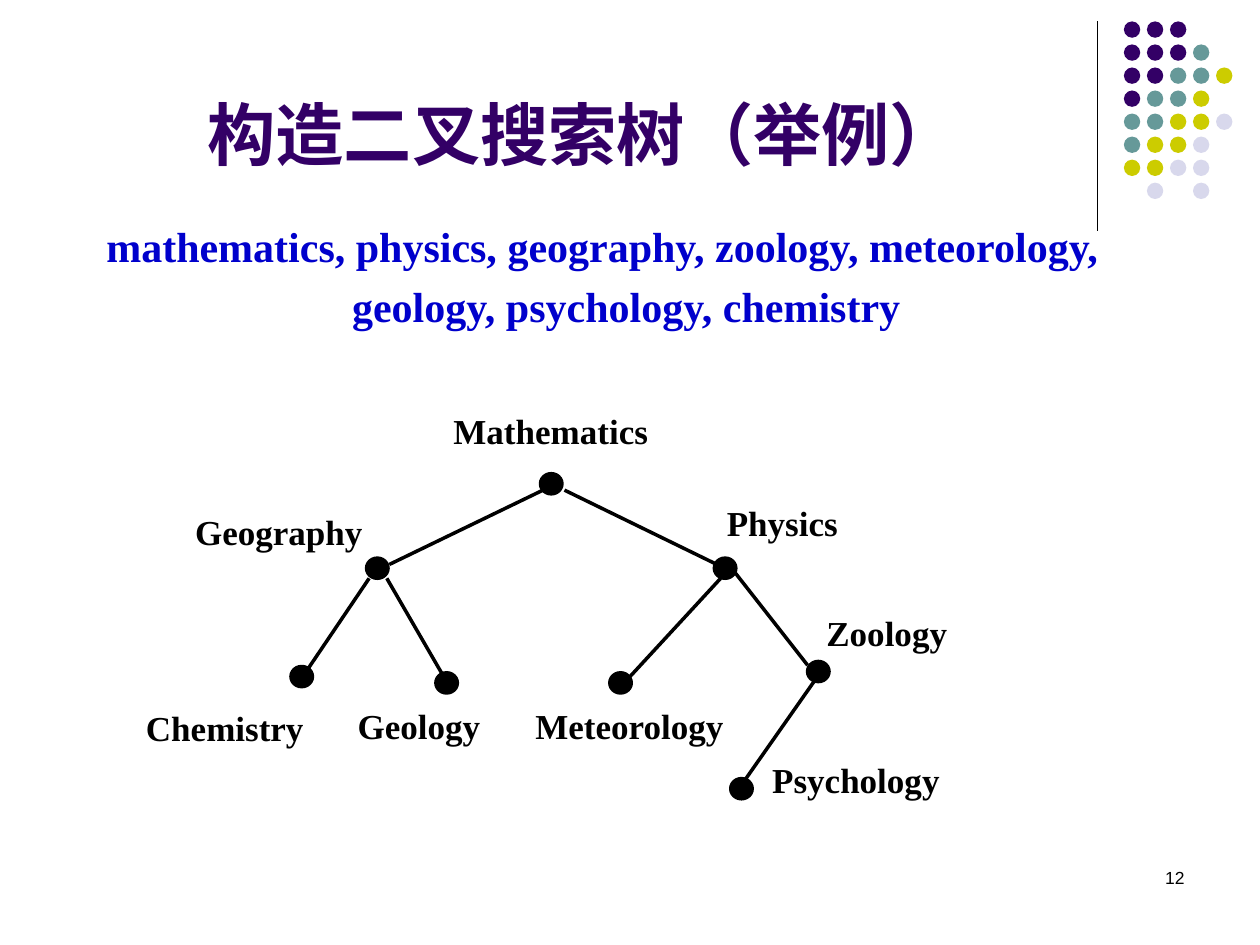
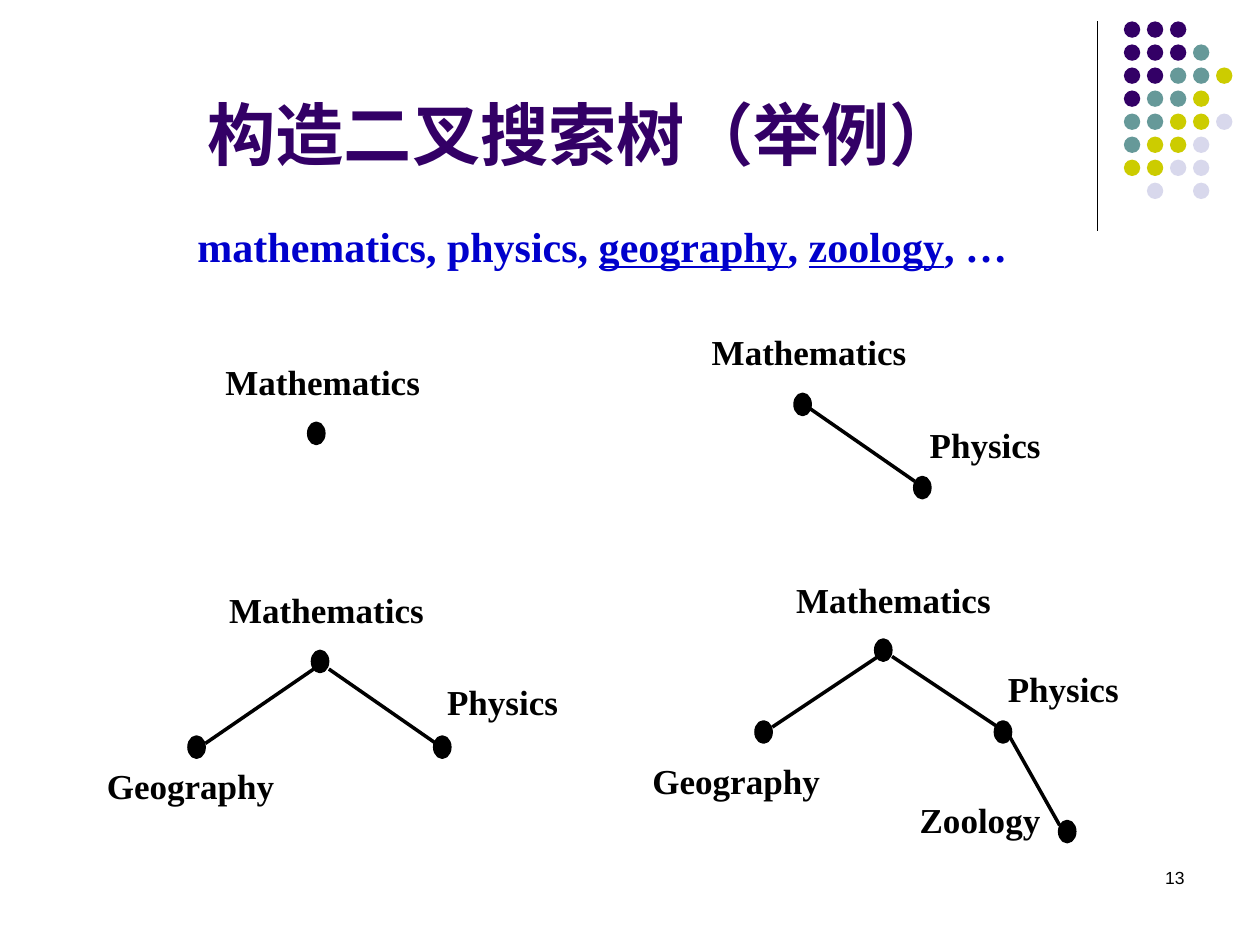
import pptx
import pptx.util
import pptx.dml.color
import pptx.enum.shapes
import pptx.enum.text
import pptx.oxml.ns
import lxml.etree

Inches = pptx.util.Inches
Pt = pptx.util.Pt
Align = pptx.enum.text.PP_ALIGN
Anchor = pptx.enum.text.MSO_ANCHOR
RGB = pptx.dml.color.RGBColor.from_string

hues = {
    "ink": "000000",
    "plum": "330066",
    "teal": "669999",
    "lime": "CCCC00",
    "mist": "D8D8EC",
    "blue": "0000CC",
}
serif = "Times New Roman"
title = "构造二叉搜索树（举例）"
marks = {"P": "plum", "T": "teal", "L": "lime", "M": "mist"}
motif = ["PPP", "PPPT", "PPTTL", "PTTL", "TTLLM", "TLLM", "LLMM", " M M"]
pitch = 1.28 / 7

pages = [
    {
        "number": "12",
        "words": ["mathematics, physics, geography, zoology, meteorology, geology, psychology, chemistry"],
        "deep": 1.34,
        "node": (0.17, 0.16),
        "dots": [
            (4.29, 3.76), (2.91, 4.43), (5.67, 4.43), (2.31, 5.29),
            (3.46, 5.34), (4.84, 5.34), (6.41, 5.25), (5.8, 6.18),
        ],
        "edges": [
            (4.31, 3.89, 3.09, 4.48), (2.93, 4.59, 2.45, 5.3),
            (3.07, 4.59, 3.51, 5.35), (4.48, 3.89, 5.69, 4.48),
            (5.83, 4.54, 6.41, 5.28), (5.72, 4.59, 5, 5.37),
            (6.46, 5.41, 5.92, 6.18),
        ],
        "labels": [
            ("Psychology", 6.03, 5.97, 2.12, 0.7),
            ("Zoology", 6.46, 4.8, 1.58, 0.52),
            ("Physics", 5.67, 3.93, 1.42, 0.7),
            ("Meteorology", 4.15, 5.54, 2.23, 0.7),
            ("Geology", 2.74, 5.54, 1.76, 0.7),
            ("Chemistry", 1.06, 5.56, 1.65, 0.7),
            ("Geography", 1.45, 4, 1.99, 0.7),
            ("Mathematics", 3.5, 3.2, 2.05, 0.47),
        ],
    },
    {
        "number": "13",
        "words": ["mathematics, physics, ", "geography", ", ", "zoology", ", …"],
        "deep": 0.71,
        "node": (0.12, 0.16),
        "dots": [
            (6.31, 3.13), (7.26, 3.79),
            (6.95, 5.08), (6, 5.73), (7.9, 5.73), (8.41, 6.52),
            (2.48, 5.17), (1.5, 5.85), (3.45, 5.85),
            (2.45, 3.36),
        ],
        "edges": [
            (6.41, 3.23, 7.26, 3.82),
            (6.97, 5.21, 6.13, 5.77), (7.08, 5.21, 7.92, 5.77),
            (8.01, 5.84, 8.41, 6.55),
            (2.49, 5.31, 1.63, 5.9), (2.61, 5.31, 3.46, 5.9),
        ],
        "labels": [
            ("Physics", 7.28, 3.31, 1.39, 0.7),
            ("Mathematics", 5.55, 2.57, 2.18, 0.47),
            ("Zoology", 7.2, 6.29, 1.32, 0.51),
            ("Physics", 7.9, 5.25, 1.23, 0.67),
            ("Geography", 5.08, 5.98, 1.57, 0.67),
            ("Mathematics", 6.22, 4.54, 2.13, 0.46),
            ("Physics", 3.45, 5.35, 1.39, 0.7),
            ("Geography", 0.75, 6.02, 1.6, 0.7),
            ("Mathematics", 1.72, 4.62, 2.18, 0.47),
            ("Mathematics", 1.69, 2.81, 2.18, 0.47),
        ],
    },
]


def write(slide, words, box, size, hue, align, font=serif, bold=True):
    frame = slide.shapes.add_textbox(*map(Inches, box)).text_frame
    frame.word_wrap = True
    para = frame.paragraphs[0]
    para.alignment = align
    for place, word in enumerate(words):
        run = para.add_run()
        run.text = word
        run.font.name = font
        run.font.size = Pt(size)
        run.font.bold = bold
        run.font.color.rgb = RGB(hues[hue])
        if place % 2:
            run.font.underline = True
    return frame


def dot(slide, box, hue, width=0):
    shape = slide.shapes.add_shape(pptx.enum.shapes.MSO_SHAPE.OVAL, *map(Inches, box))
    shape.shadow.inherit = False
    shape.fill.solid()
    shape.fill.fore_color.rgb = RGB(hues[hue])
    if width:
        shape.line.color.rgb = RGB(hues[hue])
        shape.line.width = Pt(width)
    else:
        shape.line.fill.background()


deck = pptx.Presentation()
deck.slide_width = Inches(10)
deck.slide_height = Inches(7.5)

for page in pages:
    slide = deck.slides.add_slide(deck.slide_layouts[6])

    for row, line in enumerate(motif):
        for col, mark in enumerate(line):
            if mark in marks:
                dot(slide, (8.92 + col * pitch, 0.17 + row * pitch, 0.13, 0.13), marks[mark])

    head = write(slide, [title], (0.5, 0.13, 8.25, 1.3), 39, "plum", Align.CENTER)
    head.vertical_anchor = Anchor.BOTTOM

    body = write(slide, page["words"], (0.35, 1.62, 8.86, page["deep"]), 24, "blue", Align.CENTER)
    para = body.paragraphs[0]
    para.line_spacing = 1.2
    props = para._p.get_or_add_pPr()
    props.set("marL", str(Inches(0.38)))
    props.set("indent", str(Inches(-0.38)))

    for spot in page["dots"]:
        dot(slide, spot + page["node"], "ink", 2)

    rule = (8.71, 0.17, 8.71, 1.83)
    for ends in [rule] + page["edges"]:
        edge = slide.shapes.add_connector(
            pptx.enum.shapes.MSO_CONNECTOR.STRAIGHT, *map(Inches, ends))
        edge.line.color.rgb = RGB(hues["ink"])
        edge.line.width = Pt(0.75 if ends == rule else 2)
        lxml.etree.SubElement(edge._element.spPr, pptx.oxml.ns.qn("a:effectLst"))

    for label, *box in page["labels"]:
        write(slide, [label], box, 20, "ink", Align.JUSTIFY)

    write(slide, [page["number"]], (7.17, 6.83, 2.33, 0.5), 10, "ink", Align.RIGHT, "Arial", False)

deck.save("out.pptx")
